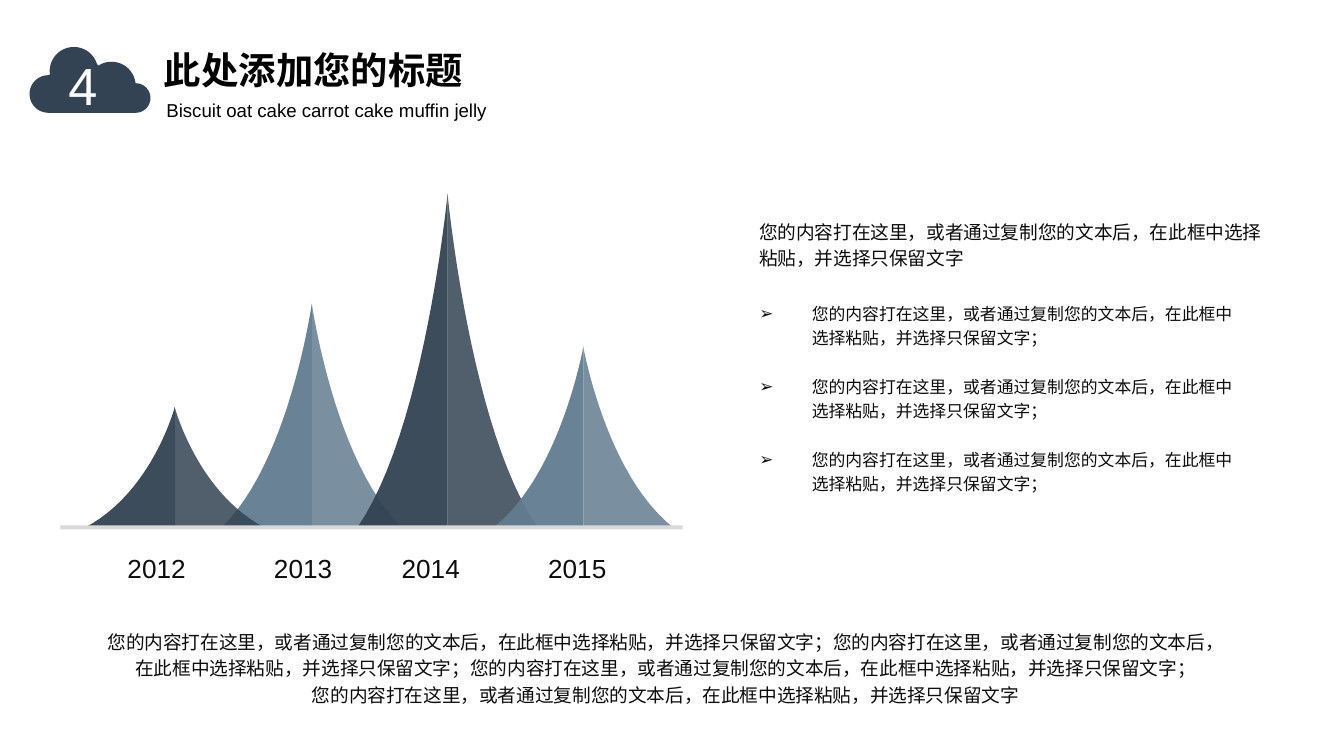
from math import cos, radians, sin

from lxml import etree
from pptx import Presentation
from pptx.dml.color import RGBColor
from pptx.enum.shapes import MSO_SHAPE
from pptx.enum.text import MSO_ANCHOR, MSO_AUTO_SIZE, PP_ALIGN
from pptx.oxml.ns import qn
from pptx.util import Inches, Pt

LEFT, CENTER = PP_ALIGN.LEFT, PP_ALIGN.CENTER
TOP = MSO_ANCHOR.TOP
NO_AUTOFIT = MSO_AUTO_SIZE.NONE
RECTANGLE = MSO_SHAPE.RECTANGLE

NAVY = RGBColor(0x33, 0x43, 0x53)
STEEL = RGBColor(0x63, 0x7C, 0x90)
GRAY = RGBColor(0xD9, 0xD9, 0xD9)
INK = RGBColor(0x0D, 0x0D, 0x0D)
BLACK = RGBColor(0, 0, 0)
WHITE = RGBColor(0xFF, 0xFF, 0xFF)
CJK = "Noto Sans CJK SC"
LATIN = "Arial"
SENTENCE = "您的内容打在这里，或者通过复制您的文本后，在此框中选择粘贴，并选择只保留文字"

prs = Presentation()
prs.slide_width = Inches(10)
prs.slide_height = prs.slide_width * 9 // 16
slide = prs.slides.add_slide(prs.slide_layouts[1])
shapes = slide.shapes


def write(text, box, holder=None, size=10, font=LATIN, color=INK, bold=False,
          align=LEFT, line=None, gap=0, bullet=None, wrap=True, margin_top=0.05):
    left, top, width, height = [Inches(v) for v in box]
    if holder is None:
        holder = shapes.add_textbox(left, top, width, height)
    else:
        holder.left, holder.top, holder.width, holder.height = left, top, width, height
    frame = holder.text_frame
    frame.text = text
    frame.word_wrap = wrap
    frame.auto_size = NO_AUTOFIT
    frame.vertical_anchor = TOP
    frame.margin_top = Inches(margin_top)
    for index, paragraph in enumerate(frame.paragraphs):
        if bullet:
            properties = paragraph._p.get_or_add_pPr()
            properties.set("marL", str(Inches(0.39)))
            properties.set("indent", str(-Inches(0.39)))
            etree.SubElement(properties, qn("a:buChar"), char=bullet)
        paragraph.alignment = align
        paragraph.space_before = Pt(gap if index else 0)
        if line:
            paragraph.line_spacing = Pt(line)
        for run in paragraph.runs:
            run.font.name = font
            run.font.size = Pt(size)
            run.font.bold = bold
            run.font.color.rgb = color
            etree.SubElement(run._r.get_or_add_rPr(), qn("a:ea"), typeface=font)


def outline(points, color, opacity=100):
    corners = [(Inches(x), Inches(y)) for x, y in points]
    builder = shapes.build_freeform(*corners[0])
    builder.add_line_segments(corners[1:], close=True)
    area = builder.convert_to_shape()
    area.shadow.inherit = False
    area.line.fill.background()
    area.fill.solid()
    area.fill.fore_color.rgb = color
    if opacity < 100:
        tint = area._element.spPr.find(".//" + qn("a:srgbClr"))
        etree.SubElement(tint, qn("a:alpha"), val=str(opacity * 1000))


write("\n".join([SENTENCE + "；"] * 3), (5.55, 2.03, 3.75, 1.71),
      holder=slide.placeholders[1], size=9, font=CJK, line=13, gap=13,
      bullet="➢", margin_top=0.2)
write(SENTENCE, (5.55, 1.56, 3.98, 0.51), font=CJK, line=14.3)
write((SENTENCE + "；") * 3 + "\n" + SENTENCE, (0.7, 4.61, 8.5, 0.91),
      font=CJK, align=CENTER, line=14.3)

for year, left in (("2012", 0.85), ("2013", 1.94), ("2014", 2.89), ("2015", 3.98)):
    write(year, (left, 4.06, 0.65, 0.34), size=14, wrap=False)

BASE = 3.93
HALF_WIDTH = 0.675
STEPS = 24
peaks = [(2.32, 2.26, STEEL), (3.33, 1.44, NAVY), (1.3, 3.03, NAVY), (4.34, 2.58, STEEL)]
for center, apex, color in peaks:
    for side, opacity in ((-1, 95), (1, 85)):
        slope = []
        for step in range(STEPS + 1):
            t = step / STEPS
            bend = 3 * t * t * (1 - t)
            slope.append((center + side * HALF_WIDTH * (0.25 * bend + t ** 3),
                          apex + (BASE - apex) * (0.71 * bend + t ** 3)))
        outline(slope + [(center, BASE)], color, opacity)

axis = shapes.add_shape(RECTANGLE, Inches(0.45), Inches(3.91), Inches(4.63), Inches(0.03))
axis.shadow.inherit = False
axis.fill.solid()
axis.fill.fore_color.rgb = GRAY
axis.line.fill.background()

write("此处添加您的标题", (1.12, 0.3, 3.76, 0.44), holder=shapes.title, size=20,
      font=CJK, color=BLACK, bold=True)
write("Biscuit oat cake carrot cake muffin jelly", (1.14, 0.69, 2.93, 0.27), color=BLACK)

cloud_arcs = [(0.36, 0.7, 0.14, 90, 270), (0.55, 0.53, 0.18, 172, 343),
              (0.83, 0.64, 0.18, 237, 354), (1.01, 0.73, 0.11, 270, 450)]
cloud = []
for x, y, radius, start, end in cloud_arcs:
    for step in range(STEPS + 1):
        angle = radians(start + (end - start) * step / STEPS)
        cloud.append((x + radius * cos(angle), y + radius * sin(angle)))
outline(cloud, NAVY)
write("4", (0.41, 0.35, 0.52, 0.57), size=28, color=WHITE)

prs.save("out.pptx")
